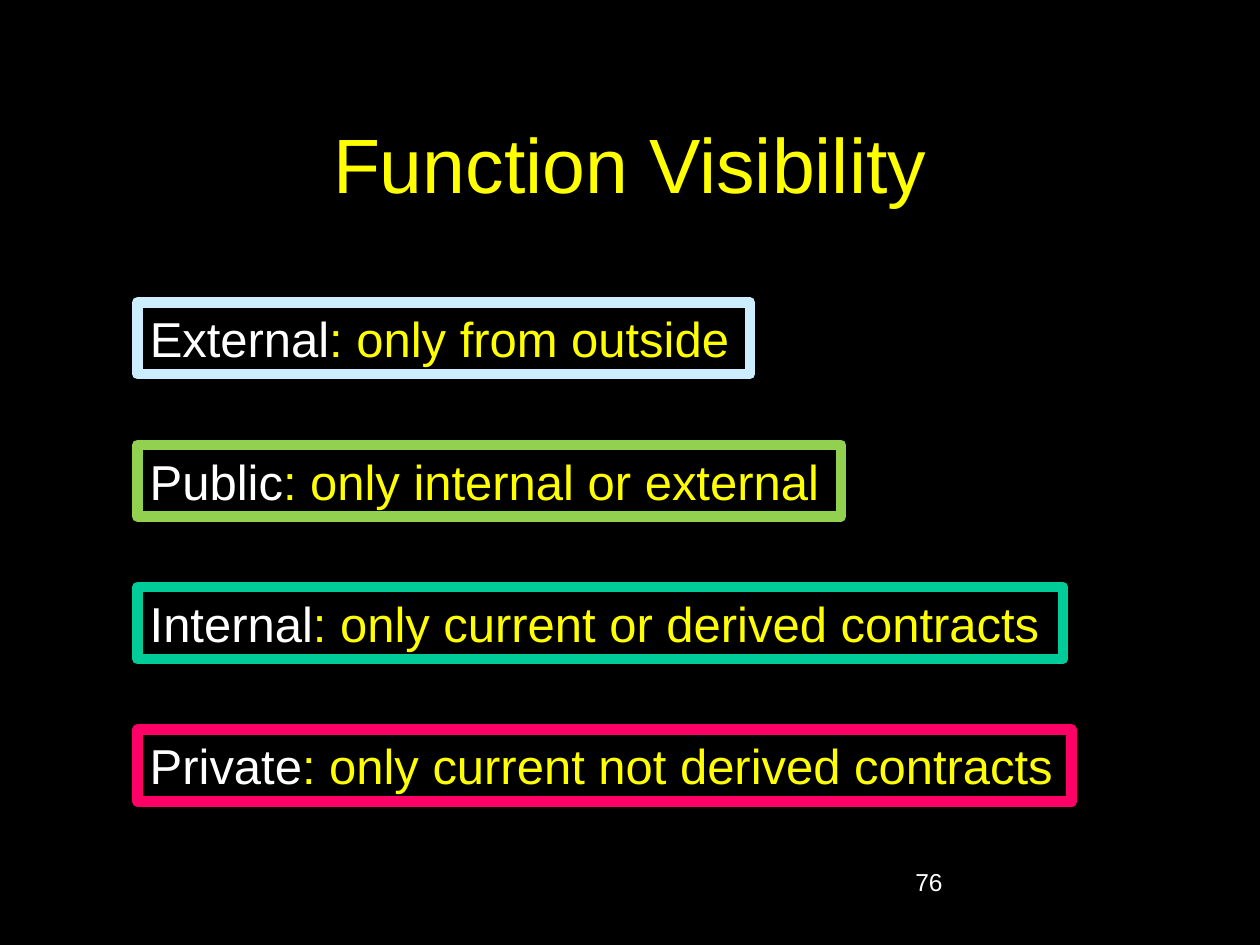
from pptx import Presentation
from pptx.dml.color import RGBColor
from pptx.enum import shapes, text
from pptx.util import Pt

BLACK = RGBColor(0x00, 0x00, 0x00)
WHITE = RGBColor(0xFF, 0xFF, 0xFF)
YELLOW = RGBColor(0xFF, 0xFF, 0x00)
PALE_BLUE = RGBColor(0xCC, 0xEC, 0xFF)
GREEN = RGBColor(0x92, 0xD0, 0x50)
TEAL = RGBColor(0x00, 0xCC, 0x99)
PINK = RGBColor(0xFF, 0x00, 0x66)

FONT = "Arial"
BOX_LEFT, BOX_TOP, BOX_HEIGHT, BOX_PITCH = 78.5, 172.8, 41, 81.4

# Keyword, rule, box width, border colour
VISIBILITIES = [
    ("External", ": only from outside", 350, PALE_BLUE),
    ("Public", ": only internal or external", 402, GREEN),
    ("Internal", ": only current or derived contracts", 529, TEAL),
    ("Private", ": only current not derived contracts", 534, PINK),
]


def add_run(paragraph, content, size, color):
    run = paragraph.add_run()
    run.text = content
    run.font.name = FONT
    run.font.size = Pt(size)
    run.font.color.rgb = color


def add_title(slide, content):
    title = slide.shapes.title
    title.left, title.top = Pt(54), Pt(48)
    title.width, title.height = Pt(612), Pt(90)
    title.text_frame.vertical_anchor = text.MSO_ANCHOR.MIDDLE
    paragraph = title.text_frame.paragraphs[0]
    paragraph.alignment = text.PP_ALIGN.CENTER
    add_run(paragraph, content, 44, YELLOW)


def add_visibility_box(slide, top, keyword, rule, width, border):
    box = slide.shapes.add_shape(
        shapes.MSO_SHAPE.RECTANGLE, Pt(BOX_LEFT), Pt(top), Pt(width), Pt(BOX_HEIGHT))
    box.shadow.inherit = False
    box.fill.solid()
    box.fill.fore_color.rgb = BLACK
    box.line.color.rgb = border
    box.line.width = Pt(6)
    frame = box.text_frame
    frame.word_wrap = False
    frame.auto_size = text.MSO_AUTO_SIZE.SHAPE_TO_FIT_TEXT
    frame.vertical_anchor = text.MSO_ANCHOR.TOP
    paragraph = frame.paragraphs[0]
    paragraph.alignment = text.PP_ALIGN.LEFT
    add_run(paragraph, keyword, 28, WHITE)
    add_run(paragraph, rule, 28, YELLOW)


def add_page_number(slide, number):
    box = slide.shapes.add_textbox(Pt(516), Pt(492), Pt(150), Pt(36))
    box.text_frame.word_wrap = True
    add_run(box.text_frame.paragraphs[0], number, 14, WHITE)


def main():
    presentation = Presentation()
    presentation.slide_width, presentation.slide_height = Pt(720), Pt(540)

    # Title Only layout on a black background
    slide = presentation.slides.add_slide(presentation.slide_layouts[5])
    slide.background.fill.solid()
    slide.background.fill.fore_color.rgb = BLACK

    add_title(slide, "Function Visibility")
    add_page_number(slide, "76")

    # Evenly spaced boxes, one per visibility
    for row, visibility in enumerate(VISIBILITIES):
        add_visibility_box(slide, BOX_TOP + row * BOX_PITCH, *visibility)

    presentation.save("out.pptx")


if __name__ == "__main__":
    main()
